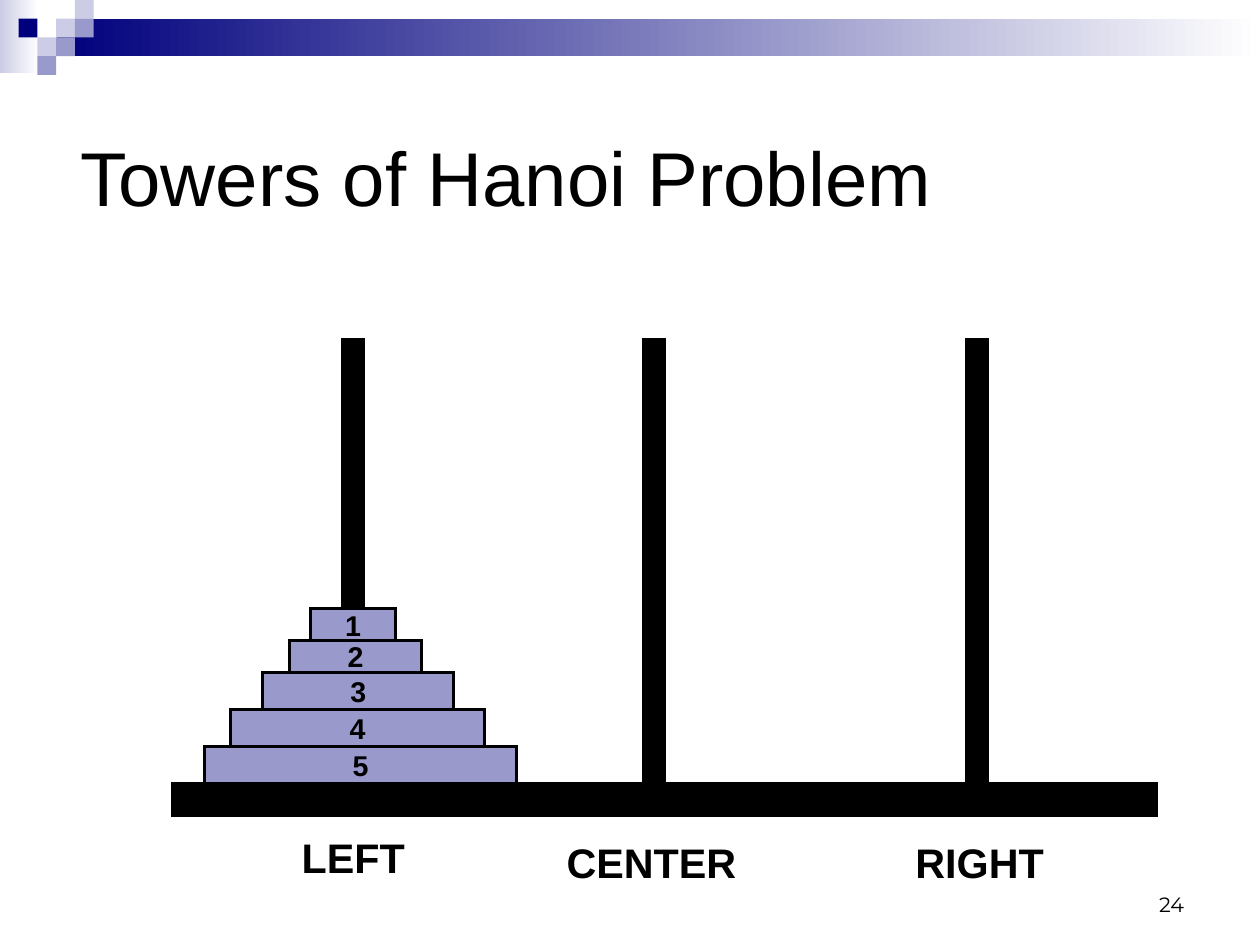
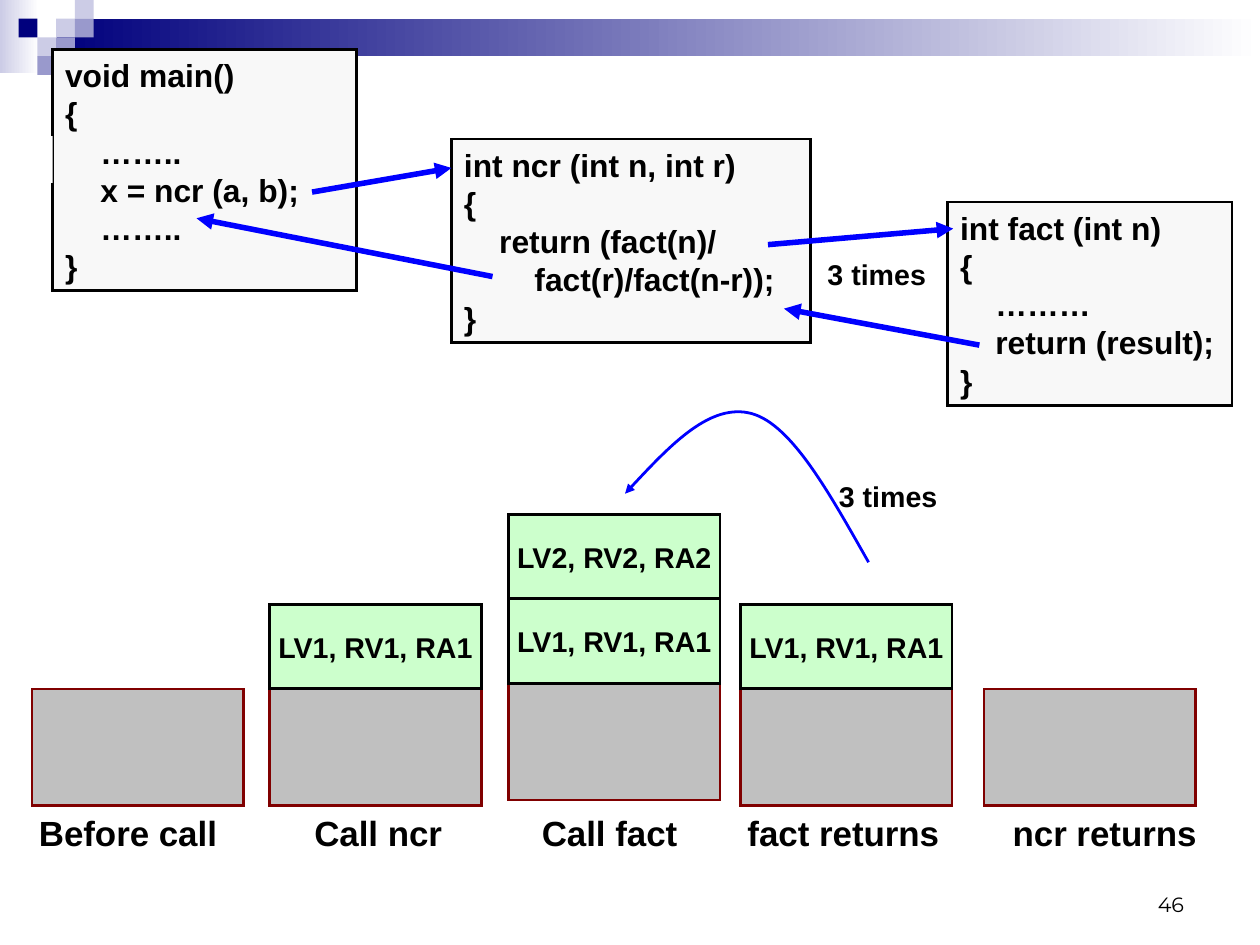
from pptx import Presentation
from pptx.dml.color import RGBColor
from pptx.enum.shapes import MSO_CONNECTOR, MSO_SHAPE
from pptx.enum.text import MSO_ANCHOR, MSO_AUTO_SIZE, PP_ALIGN
from pptx.oxml.ns import qn
from pptx.util import Pt
from lxml.etree import SubElement

BLACK = RGBColor(0x00, 0x00, 0x00)
WHITE = RGBColor(0xFF, 0xFF, 0xFF)
NAVY = RGBColor(0x00, 0x00, 0x7D)
LAVENDER = RGBColor(0x99, 0x99, 0xCC)
PALE_LAVENDER = RGBColor(0xCC, 0xCC, 0xE6)
CODE_GREY = RGBColor(0xF8, 0xF8, 0xF8)
STACK_GREY = RGBColor(0xC0, 0xC0, 0xC0)
MAROON = RGBColor(0x80, 0x00, 0x00)
FRAME_GREEN = RGBColor(0xCC, 0xFF, 0xCC)
BLUE = RGBColor(0x00, 0x00, 0xFF)

SLIDE_WIDTH, SLIDE_HEIGHT = 793.75, 595.25
TITLE_ONLY, BLANK = 5, 6
OUTLINE = 1.75

MAIN_CODE = """void main()
{
    ……..
    x = ncr (a, b);
    ……..
}"""
NCR_CODE = """int ncr (int n, int r)
{
    return (fact(n)/
        fact(r)/fact(n-r));
}"""
FACT_CODE = """int fact (int n)
{
    ………
    return (result);
}"""


def write(shape, text, size=18, font="Arial", bold=True, align=PP_ALIGN.LEFT,
          anchor=MSO_ANCHOR.TOP, wrap=True, line_spacing=None):
    """Fill a shape with text, one paragraph per line."""
    frame = shape.text_frame
    frame.word_wrap = wrap
    frame.auto_size = MSO_AUTO_SIZE.NONE
    frame.vertical_anchor = anchor
    frame.margin_left = frame.margin_right = Pt(7.9)
    frame.margin_top = frame.margin_bottom = Pt(4.3)
    for index, line in enumerate(text.split("\n")):
        para = frame.add_paragraph() if index else frame.paragraphs[0]
        para.alignment = align
        if line_spacing:
            para.line_spacing = Pt(line_spacing)
        span = para.add_run()
        span.text = line
        span.font.name = font
        span.font.size = Pt(size)
        span.font.bold = bold
        span.font.color.rgb = BLACK


def add_box(shapes, left, top, width, height, fill, line=None):
    box = shapes.add_shape(MSO_SHAPE.RECTANGLE, Pt(left), Pt(top), Pt(width), Pt(height))
    box.shadow.inherit = False
    box.fill.solid()
    box.fill.fore_color.rgb = fill
    if line is None:
        box.line.fill.background()
    else:
        box.line.color.rgb = line
        box.line.width = Pt(OUTLINE)
        SubElement(box.line._get_or_add_ln(), qn("a:miter"), lim="800000")
    return box


def add_fade(shapes, left, top, width, height, start):
    """Add a box that fades from a colour to white, left to right."""
    box = add_box(shapes, left, top, width, height, start)
    box.fill.gradient()
    box.fill.gradient_angle = 0
    for stop, color in zip(box.fill.gradient_stops, (start, WHITE)):
        stop.color.rgb = color


def add_label(slide, text, left, top, width, height, **text_format):
    label = slide.shapes.add_textbox(Pt(left), Pt(top), Pt(width), Pt(height))
    write(label, text, **text_format)


def add_labelled_box(slide, text, left, top, width, height, fill):
    box = add_box(slide.shapes, left, top, width, height, fill, BLACK)
    write(box, text, align=PP_ALIGN.CENTER, anchor=MSO_ANCHOR.MIDDLE, wrap=False)


def add_code(slide, code, left, top, width, height):
    box = add_box(slide.shapes, left, top, width, height, CODE_GREY, BLACK)
    write(box, code, size=20, line_spacing=24)


def style_arrow(arrow, width):
    arrow.line.color.rgb = BLUE
    arrow.line.width = Pt(width)
    SubElement(arrow.line._get_or_add_ln(), qn("a:tailEnd"), type="triangle")


def add_arrow(slide, *ends):
    arrow = slide.shapes.add_connector(MSO_CONNECTOR.STRAIGHT, *(Pt(end) for end in ends))
    style_arrow(arrow, 3.5)
    SubElement(arrow.element.spPr, qn("a:effectLst"))


def add_curved_arrow(slide, start, *controls):
    """Add an arrow along cubic curves, three control points to each curve."""
    builder = slide.shapes.build_freeform(Pt(start[0]), Pt(start[1]))
    builder.add_line_segments([(Pt(x), Pt(y)) for x, y in controls], close=False)
    curve = builder.convert_to_shape()
    curve.shadow.inherit = False
    curve.fill.background()
    style_arrow(curve, OUTLINE)
    outline = next(curve.element.iter(qn("a:path")))
    segments = outline.findall(qn("a:lnTo"))
    for first in range(0, len(segments), 3):
        bezier = SubElement(outline, qn("a:cubicBezTo"))
        for segment in segments[first:first + 3]:
            bezier.append(segment[0])
            outline.remove(segment)


def add_master_band(deck, slide):
    """Build the top band as a group and hand it to the slide master."""
    group = slide.shapes.add_group_shape()
    add_fade(group.shapes, 0, 0, 24.5, 46, PALE_LAVENDER)
    add_fade(group.shapes, 36, 11.8, SLIDE_WIDTH - 36, 23.6, NAVY)
    cell = 11.8
    for column, row, color in (
        (3, 1, PALE_LAVENDER), (4, 0, PALE_LAVENDER), (4, 1, LAVENDER),
        (2, 2, PALE_LAVENDER), (1, 1, NAVY), (3, 2, LAVENDER), (2, 3, LAVENDER),
    ):
        add_box(group.shapes, column * cell, row * cell, cell, cell, color)
    for number, properties in enumerate(group.element.iter(qn("p:cNvPr")), 100):
        properties.set("id", str(number))
    deck.slide_master.shapes.element.insert(2, group.element)


def add_slide(deck, layout, number):
    slide = deck.slides.add_slide(deck.slide_layouts[layout])
    add_label(slide, str(number), 568.8, 542.2, 185, 39.6, size=13, font="Montserrat",
              bold=False, align=PP_ALIGN.RIGHT, anchor=MSO_ANCHOR.BOTTOM)
    return slide


def set_title(slide, text):
    title = slide.shapes.title
    title.left, title.top, title.width, title.height = Pt(42.8), Pt(51.5), Pt(714.2), Pt(118.8)
    write(title, text, size=48, bold=False, anchor=MSO_ANCHOR.MIDDLE)


def fill_hanoi_slide(slide):
    set_title(slide, "Towers of Hanoi Problem")
    peg_top, base_top = 213.8, 493.5
    for left in (215.5, 405.2, 608.8):
        add_box(slide.shapes, left, peg_top, 13.7, base_top - peg_top, BLACK, BLACK)
    add_box(slide.shapes, 108.7, base_top, 619.9, 20.2, BLACK, BLACK)

    top = base_top
    for name, left, width, height in (
        ("5", 128.9, 196.6, 23.4), ("4", 145.4, 159.8, 23.4), ("3", 165.6, 120.2, 23.2),
        ("2", 182.2, 83.5, 20), ("1", 195.8, 53.3, 20),
    ):
        top -= height
        add_labelled_box(slide, name, left, top, width, height, LAVENDER)

    for name, left, label_top, width in (
        ("LEFT", 182.2, 519.8, 83.5), ("CENTER", 349, 522.9, 159.8),
        ("RIGHT", 568.8, 522.9, 113),
    ):
        add_label(slide, name, left, label_top, width, 38.9, size=26)


def add_stack(slide, left, bottom, frames):
    """Draw the grey stack base with its activation frames piled on top."""
    width, base_height, frame_height = 133.2, 73.4, 53.3
    top = bottom - base_height
    add_box(slide.shapes, left, top, width, base_height, STACK_GREY, MAROON)
    for frame in frames:
        top -= frame_height
        add_labelled_box(slide, frame, left, top, width, frame_height, FRAME_GREEN)


def fill_call_slide(slide):
    add_code(slide, MAIN_CODE, 33.1, 31, 191.5, 151.9)
    add_code(slide, NCR_CODE, 284.4, 87.5, 226.1, 128.2)
    add_code(slide, FACT_CODE, 596.9, 127.2, 179.3, 128.2)
    add_box(slide.shapes, 23.8, 85.7, 9.4, 29.5, WHITE)

    for ends in (
        (196.6, 121, 284.4, 105.8), (310.3, 174.2, 123.8, 137.5),
        (483.8, 154.1, 600.5, 144), (617, 217.4, 493.9, 194.4),
    ):
        add_arrow(slide, *ends)

    first, second = "LV1, RV1, RA1", "LV2, RV2, RA2"
    for name, label_left, label_width, left, bottom, frames in (
        ("Before call", 16.6, 163.4, 20.2, 507.4, ()),
        ("Call ncr", 190.1, 123.1, 169.9, 507.4, (first,)),
        ("Call fact", 333.4, 106.6, 320.4, 504, (first, second)),
        ("fact returns", 463, 149, 466.6, 507.4, (first,)),
        ("ncr returns", 630, 144.7, 619.9, 507.4, ()),
    ):
        add_stack(slide, left, bottom, frames)
        add_label(slide, name, label_left, 507.2, label_width, 34.6, size=22)

    add_curved_arrow(slide, (547.2, 354.2), (522.7, 311), (499, 267.8), (473.8, 260.6),
                     (447.8, 253.4), (420.5, 282.2), (393.8, 311))
    for left, top in ((513.4, 157.7), (520.6, 297.4)):
        add_label(slide, "3 times", left, top, 113, 29.5)


def main():
    deck = Presentation()
    deck.slide_width, deck.slide_height = Pt(SLIDE_WIDTH), Pt(SLIDE_HEIGHT)
    hanoi_slide = add_slide(deck, TITLE_ONLY, 24)
    add_master_band(deck, hanoi_slide)
    fill_hanoi_slide(hanoi_slide)
    fill_call_slide(add_slide(deck, BLANK, 46))
    deck.save("out.pptx")


if __name__ == "__main__":
    main()
